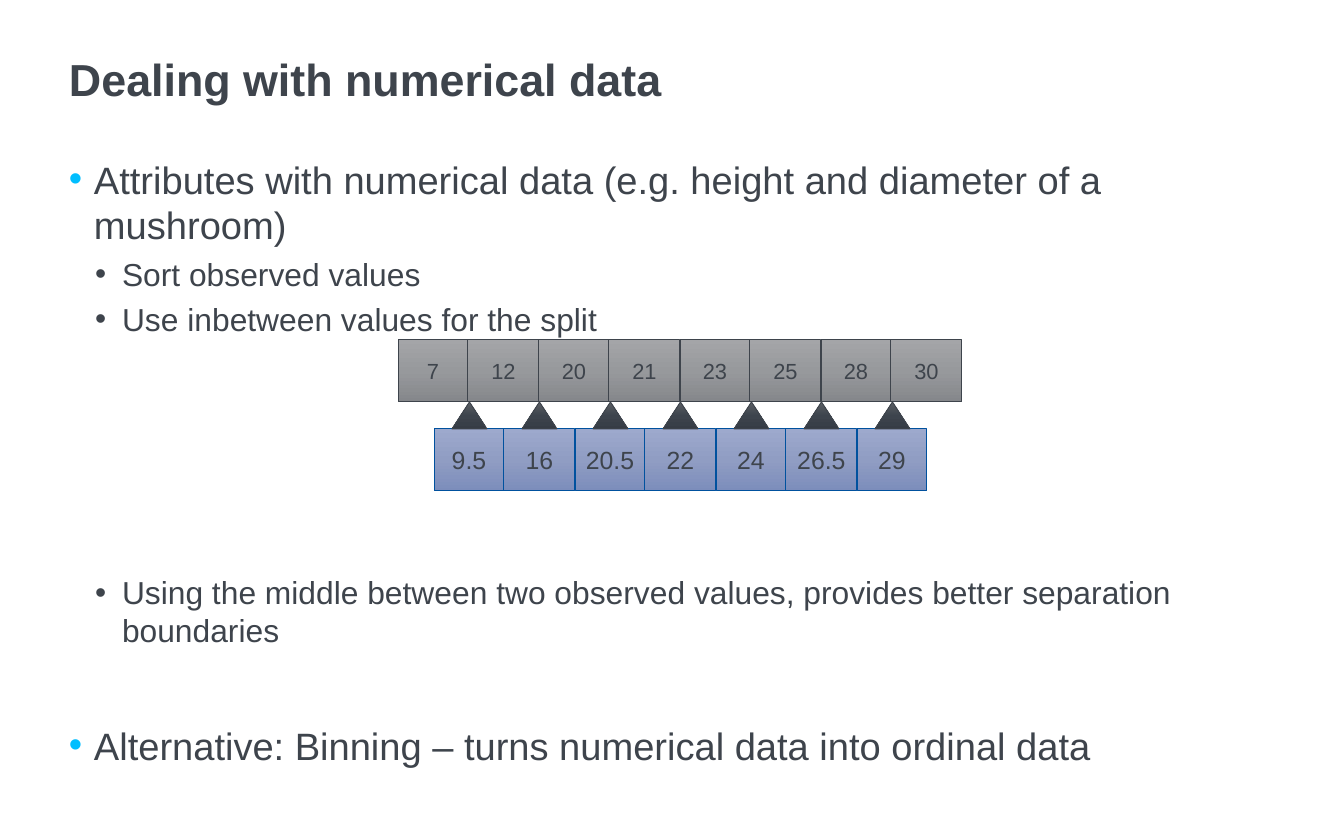
from lxml import etree
from pptx import Presentation, util as u
from pptx.dml.color import RGBColor
from pptx.enum import shapes, text
from pptx.oxml.ns import qn

EMU_PER_INCH, PX_PER_INCH = 914400, 134.4
INK, BLUE, CYAN = "3E444C", "00519E", "00BEFF"
GREY_FADE = ("A4A5A8", "97999C", "85878B")
BLUE_FADE = ("9DA9CD", "909DC3", "7C8DBB")
DARK_FADE = ("5D6166", "3D444D", "363C45")
OBSERVED = (7, 12, 20, 21, 23, 25, 28, 30)
BULLETS = (
    (0, 7.5, "Attributes with numerical data (e.g. height and diameter of a mushroom)"),
    (1, 3.8, "Sort observed values"),
    (1, 3.8, "Use inbetween values for the split"),
    (1, 126, "Using the middle between two observed values, provides better separation boundaries"),
    (0, 39, "Alternative: Binning – turns numerical data into ordinal data"),
)
LEVELS = ((20.4, CYAN, 25, 25), (17, INK, 53, 27))


def px(length):
    """Turn pixels into EMU."""
    return u.Emu(round(length * EMU_PER_INCH / PX_PER_INCH))


def colour(value):
    """Turn a hex string into a colour."""
    return RGBColor.from_string(value)


def style_text(para, size, bold=False):
    """Format every run of a paragraph."""
    for span in para.runs:
        span.font.name, span.font.size, span.font.bold = "Arial", u.Pt(size), bold
        span.font.color.rgb = colour(INK)


def prepare_frame(frame, anchor, wrap=True):
    """Clear the margins of a text frame and anchor it."""
    frame.margin_left = frame.margin_right = frame.margin_top = frame.margin_bottom = 0
    frame.auto_size = text.MSO_AUTO_SIZE.NONE
    frame.vertical_anchor, frame.word_wrap = anchor, wrap


def set_title(page, words):
    """Place and format the slide title."""
    title = page.shapes.title
    title.left, title.top, title.width, title.height = map(px, (69, 58, 1212, 85))
    frame = title.text_frame
    frame.text = words
    prepare_frame(frame, text.MSO_ANCHOR.TOP)
    para = frame.paragraphs[0]
    para.alignment, para.line_spacing = text.PP_ALIGN.LEFT, 0.9
    style_text(para, 24, True)


def set_bullet(para, tint, margin, hang):
    """Give a paragraph a hanging coloured bullet."""
    props = para._p.get_or_add_pPr()
    props.set("marL", str(px(margin)))
    props.set("indent", str(-px(hang)))
    holder = etree.SubElement(props, qn("a:buClr"))
    etree.SubElement(holder, qn("a:srgbClr"), val=tint)
    etree.SubElement(props, qn("a:buFont"), typeface="Arial")
    etree.SubElement(props, qn("a:buChar"), char="•")


def add_bullets(page):
    """Add the two-level bullet list."""
    frame = page.shapes.add_textbox(*map(px, (69, 156, 1212, 614))).text_frame
    prepare_frame(frame, text.MSO_ANCHOR.TOP)
    frame.text = "\n".join(words for _, _, words in BULLETS)
    for para, (level, gap, _) in zip(frame.paragraphs, BULLETS):
        size, tint, margin, hang = LEVELS[level]
        para.level, para.space_before = level, u.Pt(gap)
        set_bullet(para, tint, margin, hang)
        style_text(para, size)


def add_faded_shape(page, kind, place, fade, edge):
    """Add an outlined shape with a top-down gradient."""
    shape = page.shapes.add_shape(kind, *map(px, place))
    shape.shadow.inherit = False
    shape.line.color.rgb, shape.line.width = colour(edge), u.Pt(0.5)
    shape.fill.gradient()
    shape.fill.gradient_angle = 270
    stops = shape._element.spPr.find(".//" + qn("a:gsLst"))
    stops.clear()
    for index, tint in enumerate(fade):
        stop = etree.SubElement(stops, qn("a:gs"), pos=str(index * 50000))
        etree.SubElement(stop, qn("a:srgbClr"), val=tint)
    return shape


def column(left, index):
    """Give the left edge of a column in the value grid."""
    return left + index * 141 // 2


def add_value_row(page, values, left, top, fade, edge, size):
    """Add a row of touching boxes, one for each value."""
    for index, value in enumerate(values):
        start, end = column(left, index), column(left, index + 1)
        place = (start, top, end - start, 62)
        box = add_faded_shape(page, shapes.MSO_SHAPE.RECTANGLE, place, fade, edge)
        frame = box.text_frame
        frame.text = f"{value:g}"
        prepare_frame(frame, text.MSO_ANCHOR.MIDDLE, False)
        frame.paragraphs[0].alignment = text.PP_ALIGN.CENTER
        style_text(frame.paragraphs[0], size)


def add_pointers(page, count):
    """Add the triangles that point from splits to value borders."""
    for index in range(count):
        place = (column(452, index), 402, 35, 27)
        add_faded_shape(page, shapes.MSO_SHAPE.ISOSCELES_TRIANGLE, place, DARK_FADE, INK)


def main():
    """Build and save the slide."""
    deck = Presentation()
    deck.slide_width, deck.slide_height = px(1344), px(840)
    page = deck.slides.add_slide(deck.slide_layouts[5])
    splits = [(low + high) / 2 for low, high in zip(OBSERVED, OBSERVED[1:])]
    set_title(page, "Dealing with numerical data")
    add_bullets(page)
    add_value_row(page, OBSERVED, 398, 340, GREY_FADE, INK, 11.7)
    add_value_row(page, splits, 434, 429, BLUE_FADE, BLUE, 13.3)
    add_pointers(page, len(splits))
    deck.save("out.pptx")


if __name__ == "__main__":
    main()
